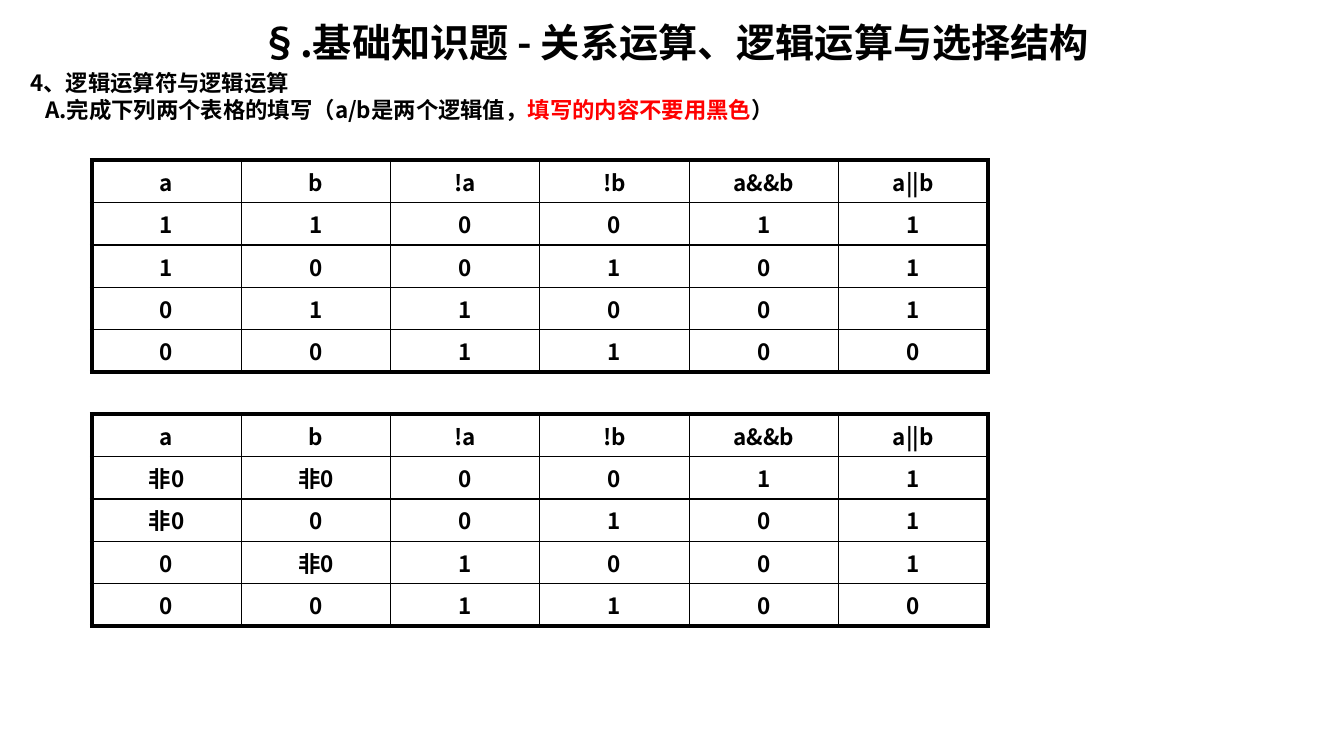
"""Build a slide with two truth tables for the logical operators."""
from dataclasses import dataclass

from lxml.etree import SubElement
from pptx import Presentation
from pptx.dml.color import RGBColor
from pptx.enum.text import MSO_ANCHOR, MSO_AUTO_SIZE, PP_ALIGN
from pptx.oxml.ns import qn
from pptx.util import Inches, Pt

COLORS = {"ink": "000000", "paper": "FFFFFF", "alert": "FF0000"}
FONT = "Noto Sans CJK SC"
HEADERS = ["a", "b", "!a", "!b", "a&&b", "a||b"]
COLUMN_WIDTH = 8.89 / len(HEADERS)
ROW_HEIGHT = 0.406
TITLE = "§.基础知识题 - 关系运算、逻辑运算与选择结构"


@dataclass
class TruthTable:
    top: float
    true_label: str


@dataclass
class Line:
    spans: list[tuple[str, str]]
    indent: float
    space_before: float


TABLES = [TruthTable(1.59, "1"), TruthTable(4.11, "非0")]
LINES = [
    Line([("4、逻辑运算符与逻辑运算", "ink")], 0, 0),
    Line([("A.完成下列两个表格的填写（a/b是两个逻辑值，", "ink"),
          ("填写的内容不要用黑色", "alert"), ("）", "ink")], 0.15, 2),
]


def style_paragraph(para, size: float, align=PP_ALIGN.LEFT) -> None:
    """Apply the shared bold font to a paragraph."""
    para.alignment = align
    font = para.font
    font.name, font.size, font.bold = FONT, Pt(size), True
    font.color.rgb = RGBColor.from_string(COLORS["ink"])
    properties = para._p.get_or_add_pPr().find(qn("a:defRPr"))
    SubElement(properties, qn("a:ea"), typeface=FONT)


def place(box, top: float, height: float):
    """Position a placeholder and return its text frame."""
    box.left, box.top = Inches(0.2), Inches(top)
    box.width, box.height = Inches(12.99), Inches(height)
    frame = box.text_frame
    frame.word_wrap = True
    frame.auto_size = MSO_AUTO_SIZE.NONE
    frame.vertical_anchor = MSO_ANCHOR.TOP
    return frame


def add_title(page) -> None:
    """Fill the title placeholder."""
    para = place(page.shapes.title, 0.18, 0.55).paragraphs[0]
    para.text = TITLE
    para.line_spacing = 0.9
    para.space_before = Pt(0)
    style_paragraph(para, 28, PP_ALIGN.CENTER)


def add_body(page) -> None:
    """Fill the body placeholder with the task lines."""
    frame = place(page.placeholders[1], 0.67, 0.8)
    for index, line in enumerate(LINES):
        para = frame.add_paragraph() if index else frame.paragraphs[0]
        properties = para._p.get_or_add_pPr()
        properties.set("marL", str(Inches(line.indent)))
        properties.set("indent", "0")
        SubElement(properties, qn("a:buNone"))
        para.line_spacing = 0.9
        para.space_before = Pt(line.space_before)
        style_paragraph(para, 16)
        for text, color in line.spans:
            span = para.add_run()
            span.text = text
            if color != "ink":
                span.font.color.rgb = RGBColor.from_string(COLORS[color])


def set_borders(cell, widths: dict[str, float]) -> None:
    """Draw the cell's four borders ahead of its fill."""
    properties = cell._tc.get_or_add_tcPr()
    for position, (side, width) in enumerate(widths.items()):
        border = properties.makeelement(qn(f"a:ln{side}"), {"w": str(Pt(width))})
        fill = SubElement(border, qn("a:solidFill"))
        SubElement(fill, qn("a:srgbClr"), val=COLORS["ink"])
        properties.insert(position, border)


def truth_rows(true_label: str) -> list[list[str]]:
    """Work out the table's text from the logical operators."""
    rows = [HEADERS]
    for a in (True, False):
        for b in (True, False):
            inputs = [true_label if value else "0" for value in (a, b)]
            results = [str(int(value)) for value in (not a, not b, a and b, a or b)]
            rows.append(inputs + results)
    return rows


def add_truth_table(page, spec_table: TruthTable) -> None:
    """Add a truth table with a heavy outer frame."""
    rows = truth_rows(spec_table.true_label)
    last_row, last_column = len(rows) - 1, len(HEADERS) - 1
    table = page.shapes.add_table(
        len(rows), len(HEADERS), Inches(0.91), Inches(spec_table.top),
        Inches(COLUMN_WIDTH * len(HEADERS)), Inches(ROW_HEIGHT * len(rows))).table
    table.first_row = table.horz_banding = False
    for r, row in enumerate(rows):
        for c, text in enumerate(row):
            cell = table.cell(r, c)
            cell.text = text
            cell.vertical_anchor = MSO_ANCHOR.MIDDLE
            cell.fill.solid()
            cell.fill.fore_color.rgb = RGBColor.from_string(COLORS["paper"])
            style_paragraph(cell.text_frame.paragraphs[0], 16, PP_ALIGN.CENTER)
            edges = {"L": c == 0, "R": c == last_column,
                     "T": r == 0, "B": r == last_row}
            set_borders(cell, {side: 3 if outer else 1 for side, outer in edges.items()})


def main() -> None:
    """Build and save the deck."""
    deck = Presentation()
    deck.slide_width, deck.slide_height = Inches(13.33), Inches(7.5)
    page = deck.slides.add_slide(deck.slide_layouts[1])
    add_title(page)
    add_body(page)
    for truth_table in TABLES:
        add_truth_table(page, truth_table)
    deck.save("out.pptx")


if __name__ == "__main__":
    main()
